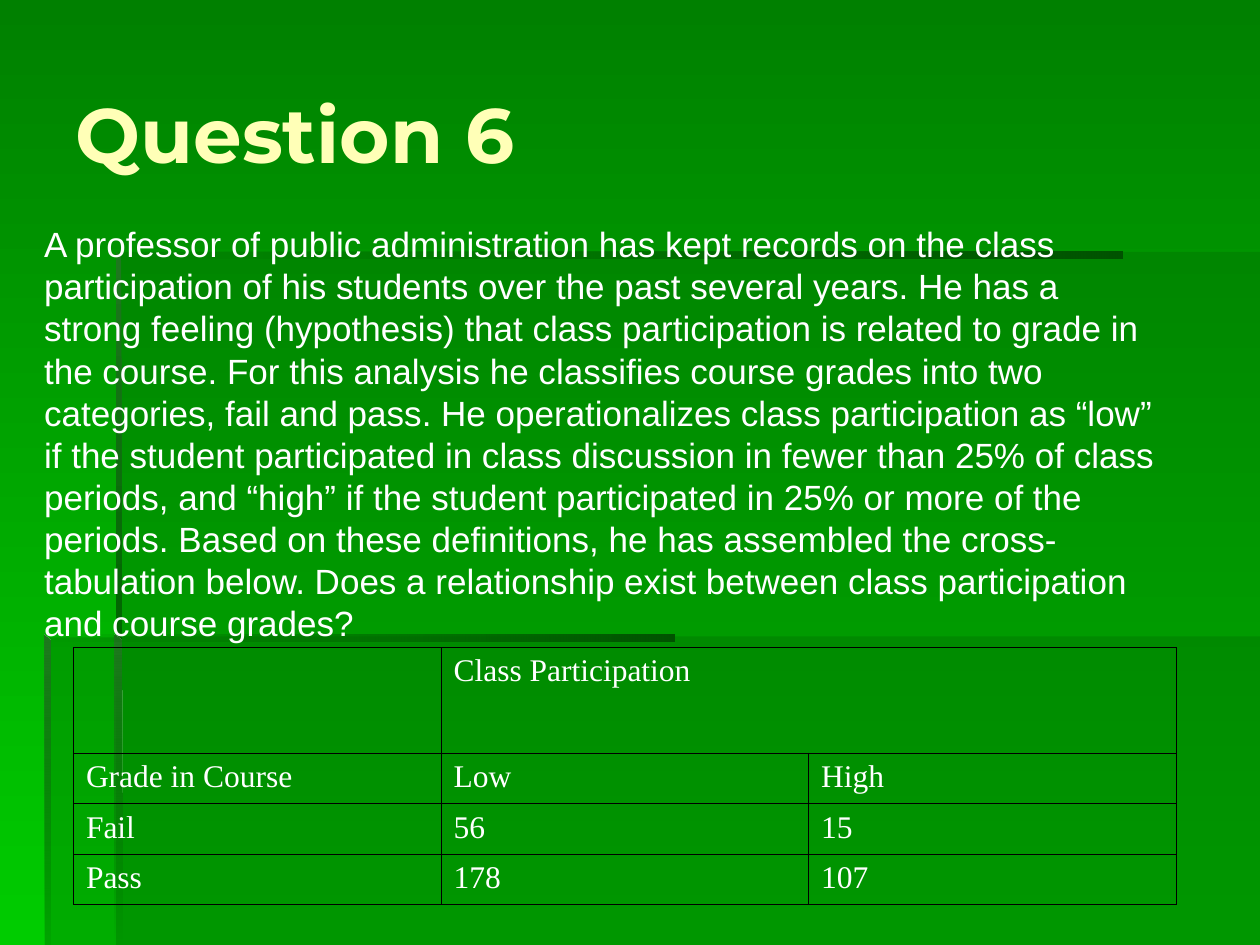
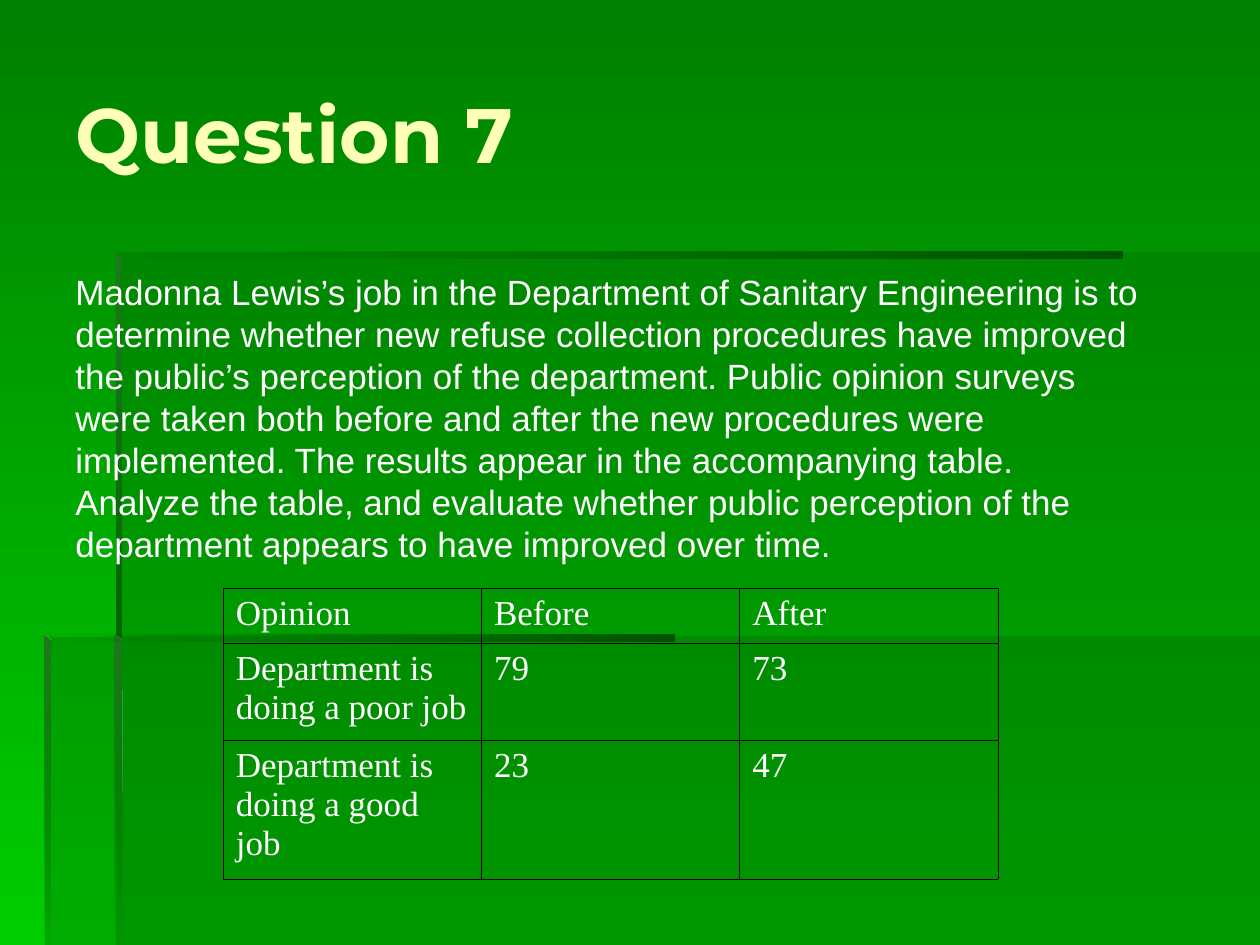
from dataclasses import dataclass

from lxml import etree
from pptx import Presentation
from pptx.dml.color import RGBColor
from pptx.enum.text import MSO_ANCHOR, MSO_AUTO_SIZE, PP_ALIGN
from pptx.oxml.ns import qn
from pptx.util import Cm, Pt

TOP, MIDDLE = MSO_ANCHOR.TOP, MSO_ANCHOR.MIDDLE
LEFT = PP_ALIGN.LEFT
NO_AUTOFIT = MSO_AUTO_SIZE.NONE
TITLE_ONLY = 5

GREEN_TOP = RGBColor(0x00, 0x80, 0x00)
GREEN_BOTTOM = RGBColor(0x00, 0xCC, 0x00)
PANEL = RGBColor(0x00, 0x66, 0x00)
BAR_DARK = RGBColor(0x00, 0x53, 0x00)
EDGE_LIGHT = RGBColor(0x1E, 0x78, 0x1E)
CREAM = RGBColor(0xFF, 0xFF, 0xB7)
WHITE = RGBColor(0xFF, 0xFF, 0xFF)
BLACK = RGBColor(0x00, 0x00, 0x00)

TITLE_FONT = {"name": "Montserrat", "size": Pt(44), "bold": True}
BODY_FONT = {"name": "Arial", "size": Pt(20)}
DOWNWARD, LEFTWARD = 270, 180


@dataclass(frozen=True)
class Box:
    left: float
    top: float
    width: float
    height: float

    def lengths(self) -> tuple:
        return Cm(self.left), Cm(self.top), Cm(self.width), Cm(self.height)


@dataclass(frozen=True)
class Panel:
    points: tuple


@dataclass(frozen=True)
class Bar:
    points: tuple
    start: RGBColor
    angle: int
    end_opacity: int


@dataclass(frozen=True)
class Grid:
    box: Box
    row_heights: tuple
    rows: tuple
    size: int
    merged: tuple = ()


@dataclass(frozen=True)
class Question:
    title: str
    body: str
    body_box: Box
    grid: Grid


TITLE_BOX = Box(1.27, 0.69, 23.29, 3.99)

PANELS = (
    Panel(((2.34, 12.83), (2.34, 19.05), (25.4, 19.05), (25.4, 12.83))),
    Panel(((2.39, 12.85), (0.91, 12.85), (0.91, 19.05), (25.4, 19.05),
           (25.4, 5.08), (2.39, 5.08))),
)

BARS = (
    Bar(((2.34, 5.08), (2.34, 5.21), (22.63, 5.21), (22.63, 5.08)),
        BAR_DARK, LEFTWARD, 0),
    Bar(((2.34, 5.08), (2.34, 12.95), (2.46, 12.95), (2.44, 5.18)),
        EDGE_LIGHT, DOWNWARD, 100),
    Bar(((2.31, 19.05), (2.46, 19.05), (2.44, 12.9), (2.31, 12.8)),
        EDGE_LIGHT, DOWNWARD, 0),
    Bar(((0.89, 12.8), (0.89, 12.93), (13.59, 12.93), (13.59, 12.8)),
        BAR_DARK, LEFTWARD, 0),
    Bar(((0.89, 12.8), (0.89, 19.05), (1.02, 19.05), (1.02, 12.93)),
        EDGE_LIGHT, DOWNWARD, 10),
)

QUESTIONS = (
    Question(
        "Question 6",
        "A professor of public administration has kept records on the class "
        "participation of his students over the past several years. He has a "
        "strong feeling (hypothesis) that class participation is related to "
        "grade in the course. For this analysis he classifies course grades "
        "into two categories, fail and pass. He operationalizes class "
        "participation as “low” if the student participated in class "
        "discussion in fewer than 25% of class periods, and “high” if the "
        "student participated in 25% or more of the periods. Based on these "
        "definitions, he has assembled the cross-tabulation below. Does a "
        "relationship exist between class participation and course grades?",
        Box(0.64, 4.37, 23.06, 9.58),
        Grid(
            Box(1.48, 13.05, 22.23, 5.16),
            (2.13, 1.02, 1.02, 1.02),
            (("", "Class Participation", ""),
             ("Grade in Course", "Low", "High"),
             ("Fail", "56", "15"),
             ("Pass", "178", "107")),
            18,
            ((0, 1), (0, 2)),
        ),
    ),
    Question(
        "Question 7",
        "Madonna Lewis’s job in the Department of Sanitary Engineering is to "
        "determine whether new refuse collection procedures have improved the "
        "public’s perception of the department. Public opinion surveys were "
        "taken both before and after the new procedures were implemented. The "
        "results appear in the accompanying table. Analyze the table, and "
        "evaluate whether public perception of the department appears to have "
        "improved over time.",
        Box(1.27, 5.33, 22.02, 7.04),
        Grid(
            Box(4.5, 11.86, 15.62, 5.84),
            (1.11, 1.95, 2.8),
            (("Opinion", "Before", "After"),
             ("Department is doing a poor job", "79", "73"),
             ("Department is doing a good job", "23", "47")),
            20,
        ),
    ),
)


def set_gradient(fill, start: RGBColor, end: RGBColor, angle: int) -> None:
    fill.gradient()
    fill.gradient_angle = angle
    for stop, color in zip(fill.gradient_stops, (start, end)):
        stop.color.rgb = color


def set_opacity(color, percent: int) -> None:
    etree.SubElement(color, qn("a:alpha")).set("val", str(percent * 1000))


def write_text(tf, text: str, color: RGBColor, font: dict) -> None:
    p = tf.paragraphs[0]
    p.alignment = LEFT
    r = p.add_run()
    r.text = text
    r.font.color.rgb = color
    for name, value in font.items():
        setattr(r.font, name, value)


def draw_outline(s, points: tuple):
    start, *rest = [(Cm(x), Cm(y)) for x, y in points]
    builder = s.shapes.build_freeform(*start)
    builder.add_line_segments(rest, close=True)
    sp = builder.convert_to_shape()
    sp.shadow.inherit = False
    sp.line.fill.background()
    return sp


def draw_panel(s, panel: Panel):
    sp = draw_outline(s, panel.points)
    sp.fill.solid()
    sp.fill.fore_color.rgb = PANEL
    set_opacity(next(sp.element.iter(qn("a:srgbClr"))), 30)
    return sp


def draw_bar(s, bar: Bar):
    sp = draw_outline(s, bar.points)
    set_gradient(sp.fill, bar.start, PANEL, bar.angle)
    set_opacity(list(sp.element.iter(qn("a:srgbClr")))[-1], bar.end_opacity)
    return sp


def move_backdrop_to_layout(s, layout) -> None:
    for ph in list(layout.placeholders)[1:]:
        layout.shapes.element.remove(ph.element)
    shapes = [draw_panel(s, panel) for panel in PANELS]
    shapes += [draw_bar(s, bar) for bar in BARS]
    for sp in shapes:
        layout.shapes.element.append(sp.element)


def add_title(s, text: str) -> None:
    sp = s.shapes.title
    sp.left, sp.top, sp.width, sp.height = TITLE_BOX.lengths()
    tf = sp.text_frame
    format_values = {"word_wrap": True, "auto_size": NO_AUTOFIT,
                     "vertical_anchor": MIDDLE}
    for name, value in format_values.items():
        setattr(tf, name, value)
    write_text(tf, text, CREAM, TITLE_FONT)


def add_body(s, text: str, box: Box) -> None:
    tf = s.shapes.add_textbox(*box.lengths()).text_frame
    tf.word_wrap = True
    tf.vertical_anchor = TOP
    write_text(tf, text, WHITE, BODY_FONT)


def add_borders(cell) -> None:
    tc_pr = cell._tc.get_or_add_tcPr()
    for side in ("lnL", "lnR", "lnT", "lnB"):
        ln = etree.SubElement(tc_pr, qn(f"a:{side}"), w=str(Pt(0.45)))
        solid = etree.SubElement(ln, qn("a:solidFill"))
        etree.SubElement(solid, qn("a:srgbClr"), val=str(BLACK))


def add_grid(s, grid: Grid) -> None:
    columns = len(grid.rows[0])
    table = s.shapes.add_table(len(grid.rows), columns,
                               *grid.box.lengths()).table
    table.first_row = table.horz_banding = False
    for column in table.columns:
        column.width = Cm(grid.box.width / columns)
    font = {"name": "Times New Roman", "size": Pt(grid.size)}
    for i, (height, texts) in enumerate(zip(grid.row_heights, grid.rows)):
        table.rows[i].height = Cm(height)
        for j, text in enumerate(texts):
            cell = table.cell(i, j)
            add_borders(cell)
            cell.fill.background()
            if text:
                write_text(cell.text_frame, text, WHITE, font)
    if grid.merged:
        first, last = grid.merged
        table.cell(*first).merge(table.cell(*last))


def main() -> None:
    prs = Presentation()
    prs.slide_width, prs.slide_height = Cm(25.4), Cm(19.05)
    set_gradient(prs.slide_master.background.fill,
                 GREEN_TOP, GREEN_BOTTOM, DOWNWARD)
    layout = prs.slide_layouts[TITLE_ONLY]
    slides = [prs.slides.add_slide(layout) for _ in QUESTIONS]
    move_backdrop_to_layout(slides[0], layout)
    for s, question in zip(slides, QUESTIONS):
        add_title(s, question.title)
        add_body(s, question.body, question.body_box)
        add_grid(s, question.grid)
    prs.save("out.pptx")


if __name__ == "__main__":
    main()
